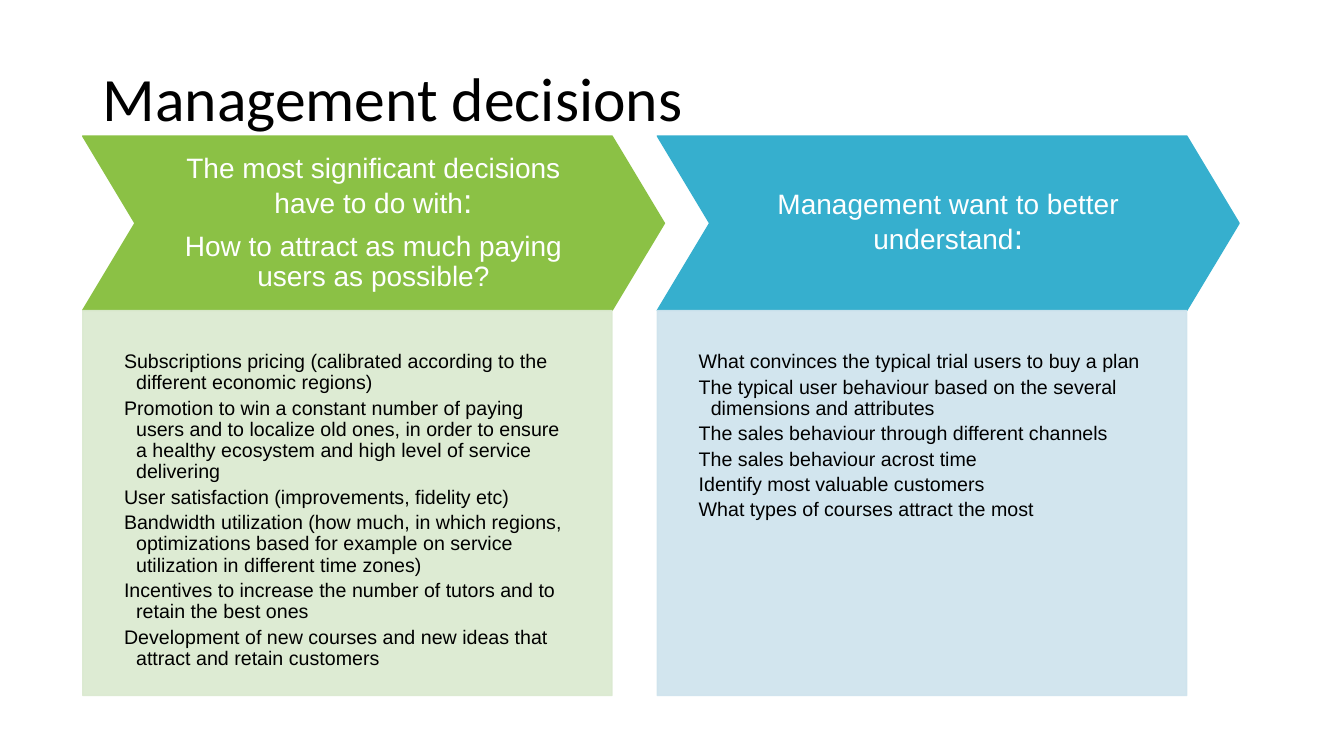
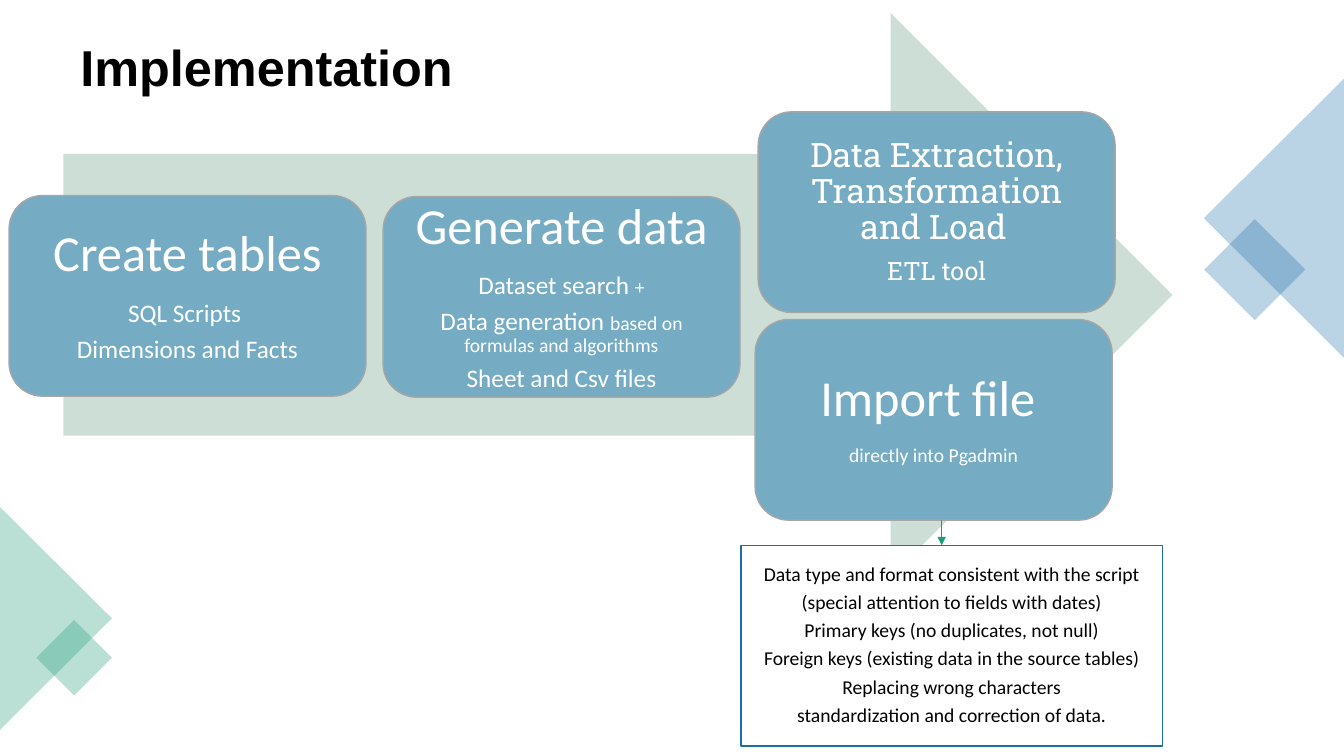
from dataclasses import dataclass
from typing import Any, NamedTuple

from lxml.etree import SubElement
from pptx import Presentation
from pptx.dml.color import RGBColor as Rgb
from pptx.enum.shapes import MSO_CONNECTOR as Conn, MSO_SHAPE as Form
from pptx.enum.text import MSO_ANCHOR as Anchor, PP_ALIGN as Align
from pptx.oxml.ns import qn
from pptx.util import Inches, Pt

HUES = {
    "white": "FFFFFF", "black": "000000", "lime": "8BC145", "sky": "36AFCE",
    "pale_lime": "DAE9CF", "pale_sky": "CEE3ED", "blue": "1D6FA9",
    "green": "1D9A78", "sage": "CDDED6", "steel": "75ACC4", "gray": "A6A6A6",
}


class Area(NamedTuple):
    x: float
    y: float
    w: float
    h: float


class Run(NamedTuple):
    text: str
    size: int


Para = list[Run]


@dataclass
class Look:
    """Text format of one box; an after of None means 35% of the text size."""
    font: str = "Calibri"
    hue: str = "white"
    bold: bool = False
    align: Align = Align.CENTER
    anchor: Anchor = Anchor.MIDDLE
    pads: tuple[float, float, float, float] = (0.1, 0.05, 0.1, 0.05)
    hang: float = 0
    after: float | None = None


@dataclass
class Column:
    hue: str
    pale: str
    head: list[Para]
    items: list[str]


@dataclass
class Step:
    x: float
    y: float
    pad: float
    text: list[Para]
    font: str = "Calibri"


@dataclass
class Deco:
    form: Form
    area: Area
    turn: int
    hue: str


def rgb(name: str) -> Rgb:
    return Rgb.from_string(HUES[name])


def put(target: Any, values: dict[str, Any]) -> None:
    for name, value in values.items():
        setattr(target, name, value)


def span(area: Area) -> list[int]:
    return [Inches(side) for side in area]


def lines(size: int, *texts: str) -> list[Para]:
    return [[Run(text, size)] for text in texts]


def write(shape: Any, paras: list[Para], look: Look) -> None:
    frame = shape.text_frame
    left, top, right, bottom = (Inches(pad) for pad in look.pads)
    put(frame, {"word_wrap": True, "vertical_anchor": look.anchor,
                "margin_left": left, "margin_top": top,
                "margin_right": right, "margin_bottom": bottom})
    for num, runs in enumerate(paras):
        para = frame.add_paragraph() if num else frame.paragraphs[0]
        gap = look.after
        if gap is None:
            gap = 0.35 * max(run.size for run in runs)
        put(para, {"alignment": look.align, "line_spacing": 0.9,
                   "space_after": Pt(gap)})
        if look.hang:
            props = para._p.get_or_add_pPr()
            props.set("marL", str(Inches(look.hang)))
            props.set("indent", str(-Inches(look.hang)))
        for text, size in runs:
            run = para.add_run()
            run.text = text
            put(run.font, {"name": look.font, "size": Pt(size),
                           "bold": look.bold})
            run.font.color.rgb = rgb(look.hue)


def fade(fill: Any, alpha: int) -> None:
    """Give a solid fill an opacity in percent."""
    color = fill._xPr.find(qn("a:solidFill"))[0]
    SubElement(color, qn("a:alpha")).set("val", str(alpha * 1000))


def draw(slide: Any, form: Form, area: Area, fill: str, line: str = "",
         alpha: int = 100) -> Any:
    shape = slide.shapes.add_shape(form, *span(area))
    shape.shadow.inherit = False
    fills = [(shape.fill, fill)]
    if line:
        shape.line.width = Pt(1)
        fills.append((shape.line.fill, line))
    else:
        shape.line.fill.background()
    for part, hue in fills:
        part.solid()
        part.fore_color.rgb = rgb(hue)
        if alpha < 100:
            fade(part, alpha)
    return shape


def title(slide: Any, text: str, area: Area, size: int, look: Look) -> None:
    write(slide.shapes.add_textbox(*span(area)), lines(size, text), look)


def arrow(slide: Any, x: float, top: float, end: float) -> None:
    link = slide.shapes.add_connector(
        Conn.STRAIGHT, Inches(x), Inches(top), Inches(x), Inches(end))
    link.line.width = Pt(0.5)
    link.line.color.rgb = rgb("green")
    SubElement(link.line._get_or_add_ln(), qn("a:tailEnd")).set("type", "triangle")
    SubElement(link._element.spPr, qn("a:effectLst"))


COLUMNS = [
    Column("lime", "pale_lime", [
        [Run("The most significant decisions have to do with", 20), Run(":", 24)],
        [Run("How to attract as much paying users as possible?", 20)],
    ], [
        "Subscriptions pricing (calibrated according to the different economic regions)",
        "Promotion to win a constant number of paying users and to localize old ones, "
        "in order to ensure a healthy ecosystem and high level of service delivering",
        "User satisfaction (improvements, fidelity etc)",
        "Bandwidth utilization (how much, in which regions, optimizations based "
        "for example on service utilization in different time zones)",
        "Incentives to increase the number of tutors and to retain the best ones",
        "Development of new courses and new ideas that attract and retain customers",
    ]),
    Column("sky", "pale_sky", [
        [Run("Management want to better understand", 20), Run(":", 24)],
    ], [
        "What convinces the typical trial users to buy a plan",
        "The typical user behaviour based on the several dimensions and attributes",
        "The sales behaviour through different channels",
        "The sales behaviour acrost time",
        "Identify most valuable customers",
        "What types of courses attract the most",
    ]),
]

STEPS = [
    Step(0.09, 1.94, 0.15, lines(36, "Create tables")
         + lines(18, "SQL Scripts ", "Dimensions and Facts")),
    Step(3.8, 1.95, 0.15, [
        [Run("Generate data", 36)],
        [Run("Dataset search ", 18), Run("+", 14)],
        [Run("Data generation ", 18), Run("based on formulas and algorithms", 14)],
        [Run("Sheet and Csv files", 18)],
    ]),
    Step(7.52, 1.11, 0.27, [
        [Run("Data Extraction, Transformation and Load", 24), Run(" ", 18)],
        [Run("ETL tool", 18)],
    ], "Roboto Slab"),
    Step(7.49, 3.17, 0.27, lines(36, "Import file ")
         + lines(14, "directly into Pgadmin")),
]

DECOS = [
    Deco(Form.RECTANGLE, Area(12.09, 2.32, 0.71, 0.71), 45, "blue"),
    Deco(Form.ISOSCELES_TRIANGLE, Area(11.25, 1.47, 2.77, 1.39), 270, "blue"),
    Deco(Form.ISOSCELES_TRIANGLE, Area(-0.55, 5.58, 2.21, 1.11), 90, "green"),
    Deco(Form.RECTANGLE, Area(0.47, 6.26, 0.53, 0.53), 45, "green"),
]

CHECKS = lines(
    14,
    "Data type and format consistent with the script",
    "(special attention to fields with dates)",
    "Primary keys (no duplicates, not null)",
    "Foreign keys (existing data in the source tables)",
    "Replacing wrong characters",
    "standardization and correction of data.",
)


def decisions(slide: Any) -> None:
    head = Look("Arial", pads=(0.21,) * 4)
    body = Look("Arial", "black", align=Align.LEFT, anchor=Anchor.TOP,
                pads=(0.41, 0.41, 0.41, 0.83), hang=0.12, after=3)
    for num, col in enumerate(COLUMNS):
        x = 0.82 + 5.7 * num
        chevron = draw(slide, Form.CHEVRON, Area(x, 1.35, 5.77, 1.73),
                       col.hue, col.hue)
        chevron.adjustments[0] = 0.3
        write(chevron, col.head, head)
        panel = draw(slide, Form.RECTANGLE, Area(x, 3.08, 5.25, 3.82),
                     col.pale, col.pale, 90)
        write(panel, lines(14, *col.items), body)
    title(slide, "Management decisions", Area(0.92, 0.4, 11.5, 1.22), 44,
          Look(hue="black", align=Align.LEFT, after=0))


def process(slide: Any) -> None:
    title(slide, "Implementation", Area(0.7, 0.35, 11.93, 0.7), 36,
          Look("Arial", "black", True, Align.LEFT, after=0))
    for deco in DECOS:
        draw(slide, deco.form, deco.area, deco.hue, alpha=30).rotation = deco.turn
    draw(slide, Form.RIGHT_ARROW, Area(0.63, 0.13, 11, 5.59), "sage")
    for step in STEPS:
        card = draw(slide, Form.ROUNDED_RECTANGLE,
                    Area(step.x, step.y, 3.54, 1.99), "steel", "gray")
        write(card, step.text, Look(step.font, pads=(step.pad,) * 4))
    note = draw(slide, Form.RECTANGLE, Area(7.35, 5.41, 4.18, 1.99),
                "white", "blue")
    write(note, CHECKS, Look(hue="black"))
    arrow(slide, 9.34, 5.16, 5.41)


def main() -> None:
    deck = Presentation()
    put(deck, {"slide_width": Inches(13.33), "slide_height": Inches(7.5)})
    for build in (decisions, process):
        build(deck.slides.add_slide(deck.slide_layouts[6]))
    deck.save("out.pptx")


if __name__ == "__main__":
    main()
